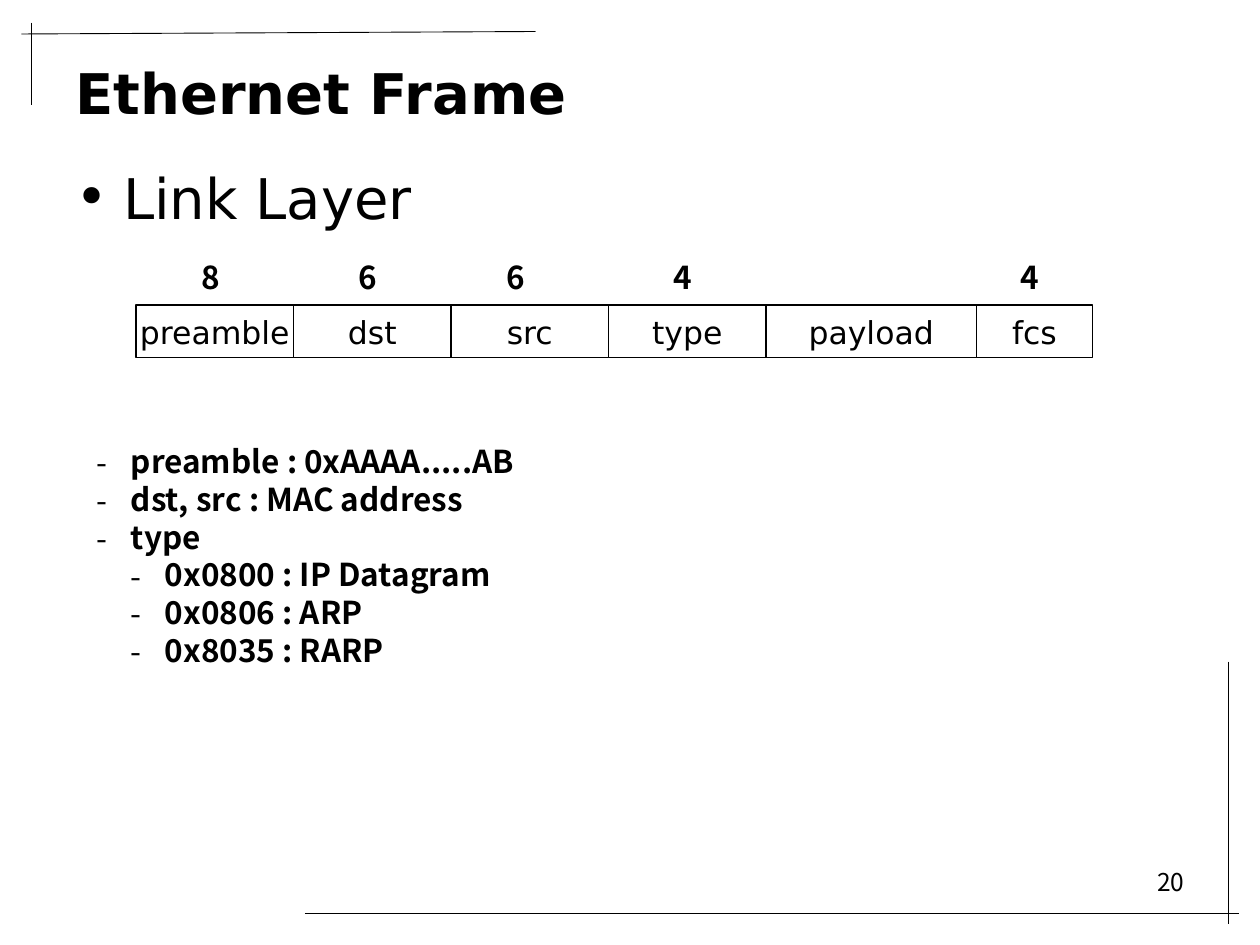
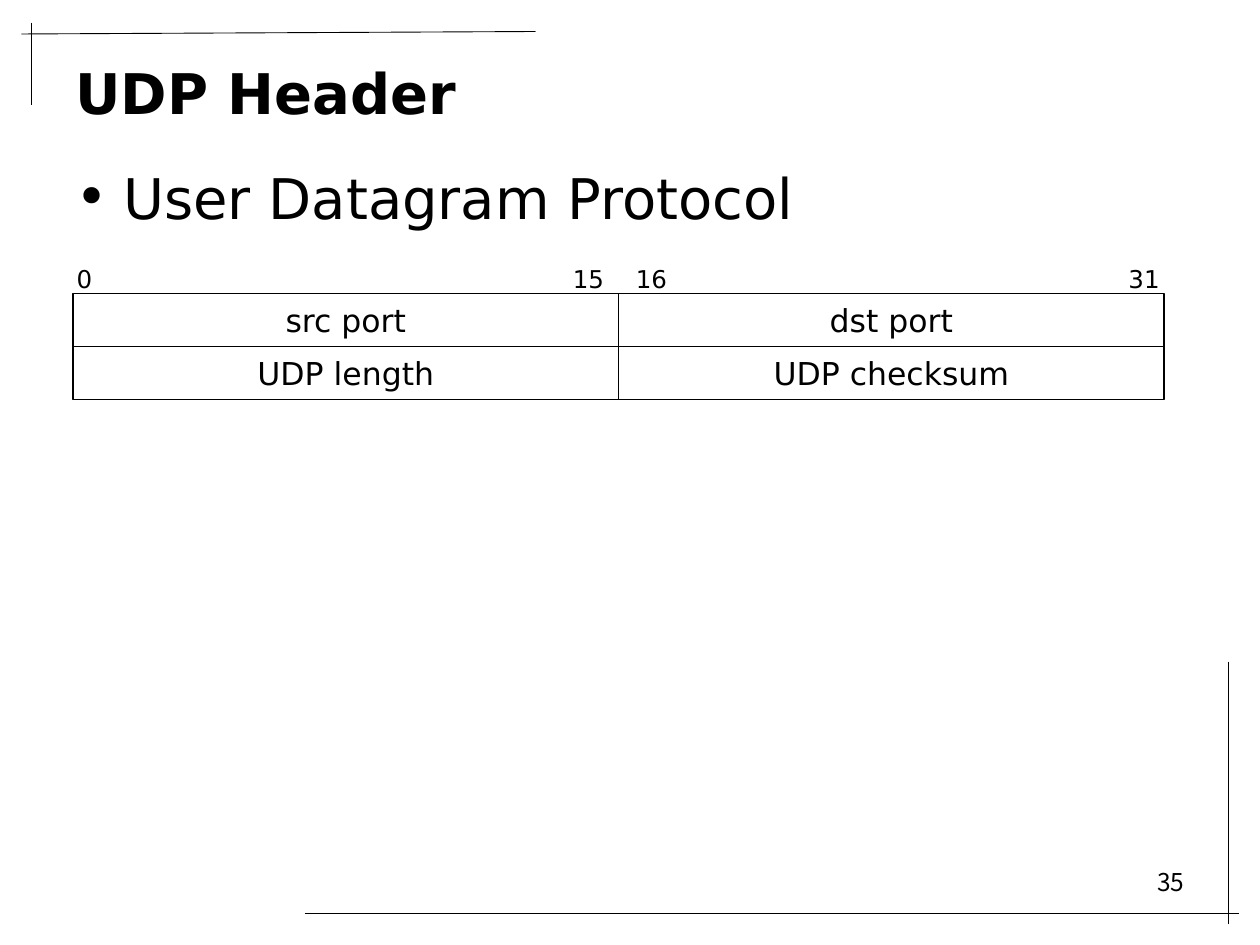
from itertools import product

from lxml.etree import SubElement
from pptx import Presentation
from pptx.dml.color import RGBColor
from pptx.enum.shapes import MSO_CONNECTOR, MSO_SHAPE
from pptx.enum.text import MSO_ANCHOR, PP_ALIGN
from pptx.oxml.ns import qn
from pptx.util import Inches, Pt

SANS, NOTO = "DejaVu Sans", "Noto Sans CJK KR"
INK, PAPER = "000000", "FFFFFF"
TITLE = {"name": SANS, "size": Pt(32), "bold": True}
HEAD = {"name": SANS, "size": Pt(32)}
FIELD = {"name": SANS, "size": Pt(18)}
BIT = {"name": SANS, "size": Pt(14)}
NOTE = {"name": NOTO, "size": Pt(18), "bold": True}
PAGE = {"name": NOTO, "size": Pt(14)}
RULES = [(2.42, 7.25, 9.83, 7.25), (0.17, 0.27, 4.25, 0.25),
         (0.25, 0.18, 0.25, 0.83), (9.75, 5.25, 9.75, 7.33)]
ROW = 0.42


def color(code):
    return RGBColor.from_string(code)


class Deck:
    def __init__(self):
        self.prs = Presentation()
        self.prs.slide_width, self.prs.slide_height = Inches(10), Inches(7.5)

    def start(self, title, head, page):
        """Add a slide with its rules, title, heading and page number."""
        self.slide = self.prs.slides.add_slide(self.prs.slide_layouts[6])
        for rule in RULES:
            self.line(*rule)
        self.text((7.17, 6.83, 2.33, 0.52), page, PAGE, PP_ALIGN.RIGHT)
        self.text((0.5, 0.38, 9, 0.7), title, TITLE, anchor=MSO_ANCHOR.MIDDLE)
        self.bullets((0.5, 1.25, 9, 5.45), [(0, head)], HEAD, "•", 0.38)

    def line(self, *ends):
        rule = self.slide.shapes.add_connector(
            MSO_CONNECTOR.STRAIGHT, *map(Inches, ends))
        rule.line.color.rgb = color(INK)
        rule.line.width = Pt(0.5)
        SubElement(rule._element.spPr, qn("a:effectLst"))

    def label(self, par, text, style, align=PP_ALIGN.LEFT):
        par.alignment = align
        run = par.add_run()
        run.text = text
        for key, value in style.items():
            setattr(run.font, key, value)
        run.font.color.rgb = color(INK)

    def text(self, area, text, style, align=PP_ALIGN.LEFT,
             anchor=MSO_ANCHOR.TOP, wrap=True):
        frame = self.slide.shapes.add_textbox(*map(Inches, area)).text_frame
        frame.word_wrap, frame.vertical_anchor = wrap, anchor
        self.label(frame.paragraphs[0], text, style, align)

    def bullets(self, area, items, style, mark, step):
        """Place (level, text) items, each level indented by one step."""
        frame = self.slide.shapes.add_textbox(*map(Inches, area)).text_frame
        frame.word_wrap = True
        for i, (level, text) in enumerate(items):
            par = frame.add_paragraph() if i else frame.paragraphs[0]
            par.level = level
            props = par._p.get_or_add_pPr()
            props.set("marL", str(Inches(step * (level + 1))))
            props.set("indent", str(Inches(-step)))
            SubElement(props, qn("a:buFont"), typeface=style["name"])
            SubElement(props, qn("a:buChar"), char=mark)
            self.label(par, text, style)

    def field(self, left, top, width, name):
        box = self.slide.shapes.add_shape(
            MSO_SHAPE.RECTANGLE, *map(Inches, (left, top, width, ROW)))
        box.shadow.inherit = False
        box.fill.solid()
        box.fill.fore_color.rgb = color(PAPER)
        box.line.color.rgb = color(INK)
        box.line.width = Pt(0.75)
        frame = box.text_frame
        frame.word_wrap, frame.vertical_anchor = False, MSO_ANCHOR.MIDDLE
        self.label(frame.paragraphs[0], name, FIELD, PP_ALIGN.CENTER)


def frame_slide(deck):
    deck.start("Ethernet Frame", "Link Layer", "20")
    left = 1.08
    for name, width in [("preamble", 1.25), ("dst", 1.25), ("src", 1.25),
                        ("type", 1.25), ("payload", 1.67), ("fcs", 0.92)]:
        deck.field(left, 2.42, width, name)
        left += width
    for x, size in [(1.5, "8"), (2.75, "6"), (3.92, "6"), (5.25, "4"), (8, "4")]:
        deck.text((x, 2, 0.34, 0.4), size, NOTE, wrap=False)
    deck.bullets((0.67, 3.46, 8.25, 2.2), [
        (0, "preamble : 0xAAAA.....AB"),
        (0, "dst, src : MAC address"),
        (0, "type"),
        (1, "0x0800 : IP Datagram"),
        (1, "0x0806 : ARP"),
        (1, "0x8035 : RARP"),
    ], NOTE, "-", 0.27)


def udp_slide(deck):
    deck.start("UDP Header", "User Datagram Protocol", "35")
    left, top, width = 0.58, 2.33, 4.33
    names = ["src port", "dst port", "UDP length", "UDP checksum"]
    for (row, col), name in zip(product(range(2), repeat=2), names):
        deck.field(left + col * width, top + row * ROW, width, name)
    for x, bit in [(0.42, "0"), (4.42, "15"), (4.92, "16"), (8.83, "31")]:
        deck.text((x, 2, 0.5, ROW), bit, BIT, PP_ALIGN.CENTER,
                  MSO_ANCHOR.MIDDLE, wrap=False)


def main():
    deck = Deck()
    frame_slide(deck)
    udp_slide(deck)
    deck.prs.save("out.pptx")


if __name__ == "__main__":
    main()
